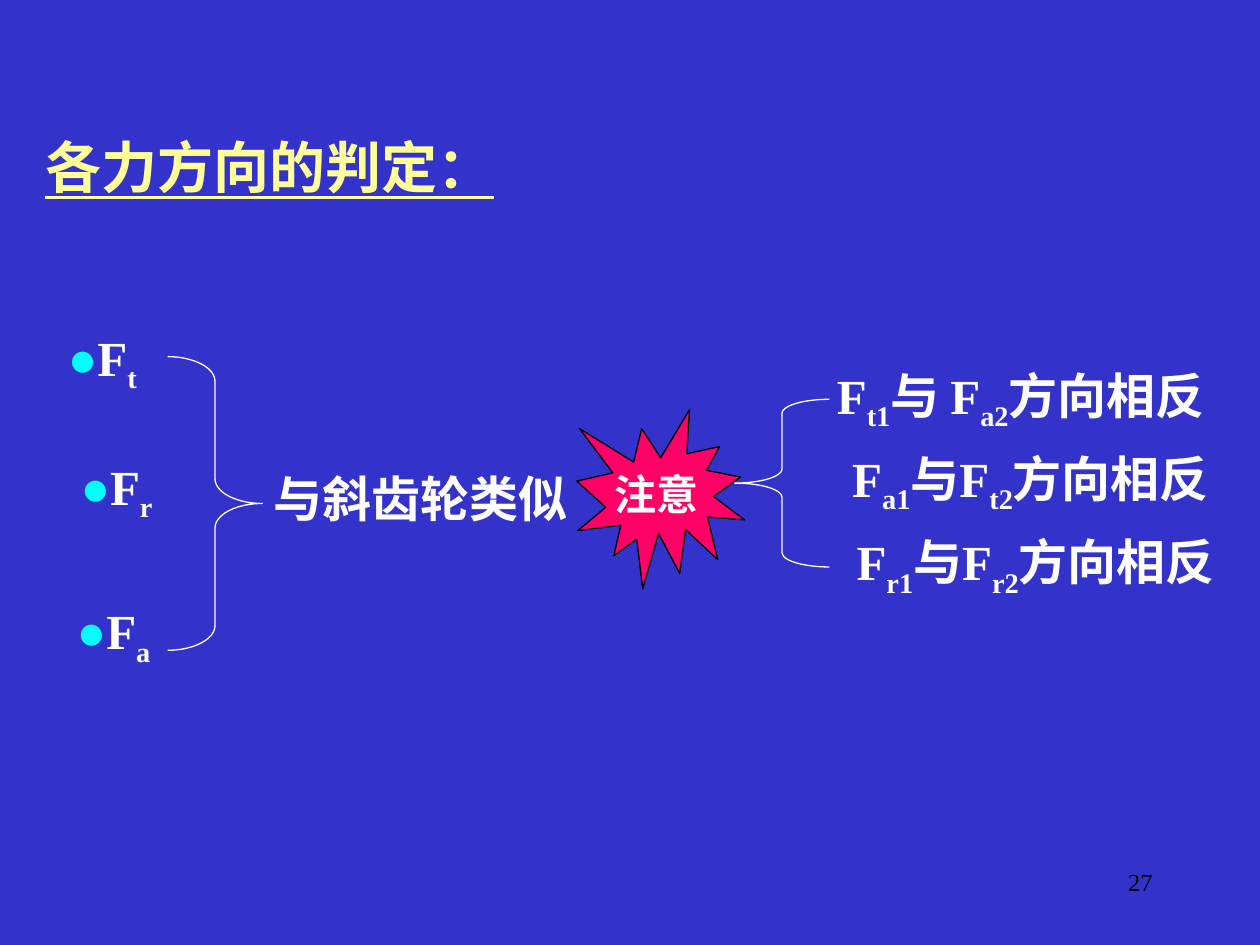
"""Build the slide on judging force directions in a gear pair."""
from dataclasses import dataclass

from pptx import Presentation
from pptx.dml.color import RGBColor
from pptx.enum import shapes, text
from pptx.util import Cm, Pt


@dataclass(frozen=True)
class Theme:
    font: str = "Times New Roman"
    back: str = "3333CC"
    title: str = "FFFF99"
    dot: str = "00FFFF"
    body: str = "FFFFFF"
    dark: str = "000000"
    seal: str = "FF0066"
    title_pt: int = 32
    body_pt: int = 28
    note_pt: int = 24
    page_pt: int = 14
    line_pt: float = 0.75


T = Theme()
A, M = text.PP_ALIGN, text.MSO_ANCHOR
S = shapes.MSO_SHAPE

TITLE = "各力方向的判定："
SIMILAR = "与斜齿轮类似"
NOTE = "注意"
PAGE = "27"
FORCES = [
    ("t", (1.12, 6.48, 5.23, 1.6), A.LEFT, True),
    ("r", (1.32, 9.07, 2.06, 1.6), A.CENTER, False),
    ("a", (1.24, 11.99, 2.1, 1.6), A.CENTER, False),
]
RELATIONS = [
    ("F", "t1", "与 F", "a2", 16.2, 8.75),
    (" F", "a1", "与F", "t2", 16.26, 8.78),
    ("F", "r1", "与F", "r2", 16.6, 8.55),
]
OPPOSITE = "方向相反"
RELATION_TOP, RELATION_STEP, RELATION_HEIGHT = 7.24, 1.68, 1.6
SEAL = (11.63, 8.26, 3.38, 3.61)
BRACES = [
    (S.RIGHT_BRACE, (3.38, 7.19, 1.91, 5.92), 0.26),
    (S.LEFT_BRACE, (14.81, 8.05, 1.91, 3.38), 0.15),
]


def rgb(color):
    """Return the colour object for a hex string."""
    return RGBColor.from_string(color)


def add_text(slide, box, runs, size=T.body_pt, align=A.CENTER, anchor=M.TOP,
             wrap=True, grow=True, bold=True, underline=None, before=None):
    """Add a text box from (text, colour, is_subscript) runs."""
    tf = slide.shapes.add_textbox(*map(Cm, box)).text_frame
    tf.word_wrap = wrap
    tf.vertical_anchor = anchor
    tf.auto_size = (text.MSO_AUTO_SIZE.SHAPE_TO_FIT_TEXT if grow
                    else text.MSO_AUTO_SIZE.NONE)
    p = tf.paragraphs[0]
    p.alignment = align
    if before is not None:
        p.space_before = Pt(before)
    for words, color, subscript in runs:
        r = p.add_run()
        r.text = words
        r.font.name, r.font.size = T.font, Pt(size)
        r.font.bold, r.font.underline = bold, underline
        r.font.color.rgb = rgb(color)
        if subscript:
            r._r.get_or_add_rPr().set("baseline", "-25000")


def add_outline(slide, kind, box, line, fill=None):
    """Add a preset shape with a thin line and an optional fill."""
    sp = slide.shapes.add_shape(kind, *map(Cm, box))
    sp.shadow.inherit = False
    sp.line.color.rgb = rgb(line)
    sp.line.width = Pt(T.line_pt)
    if fill:
        sp.fill.solid()
        sp.fill.fore_color.rgb = rgb(fill)
    else:
        sp.fill.background()
    return sp


def main():
    """Draw the slide and save it."""
    prs = Presentation()
    prs.slide_width, prs.slide_height = Cm(25.4), Cm(19.05)
    s = prs.slides.add_slide(prs.slide_layouts[6])
    s.background.fill.solid()
    s.background.fill.fore_color.rgb = rgb(T.back)

    add_text(s, (18.21, 17.35, 5.28, 1.27), [(PAGE, T.dark, False)], T.page_pt,
             A.RIGHT, grow=False, bold=False, before=8.8)
    add_outline(s, S.EXPLOSION1, SEAL, T.dark, T.seal)
    add_text(s, (0.66, 2.54, 9.55, 1.63), [(TITLE, T.title, False)], T.title_pt,
             anchor=M.MIDDLE, wrap=False, underline=True)

    for sub, box, align, wrap in FORCES:
        runs = [("●", T.dot, False), ("F", T.body, False), (sub, T.body, True)]
        add_text(s, box, runs, align=align, anchor=M.MIDDLE, wrap=wrap)

    for i, (*parts, left, width) in enumerate(RELATIONS):
        runs = [(words, T.body, j % 2 == 1)
                for j, words in enumerate([*parts, OPPOSITE])]
        top = RELATION_TOP + i * RELATION_STEP
        add_text(s, (left, top, width, RELATION_HEIGHT), runs, wrap=False)

    for kind, box, curve in BRACES:
        add_outline(s, kind, box, T.body).adjustments[0] = curve

    add_text(s, (4.88, 9.32, 7.19, 1.45), [(SIMILAR, T.body, False)], before=17.5)
    add_text(s, (12.07, 9.32, 2.34, 1.27), [(NOTE, T.body, False)], T.note_pt,
             before=15)
    prs.save("out.pptx")


if __name__ == "__main__":
    main()
